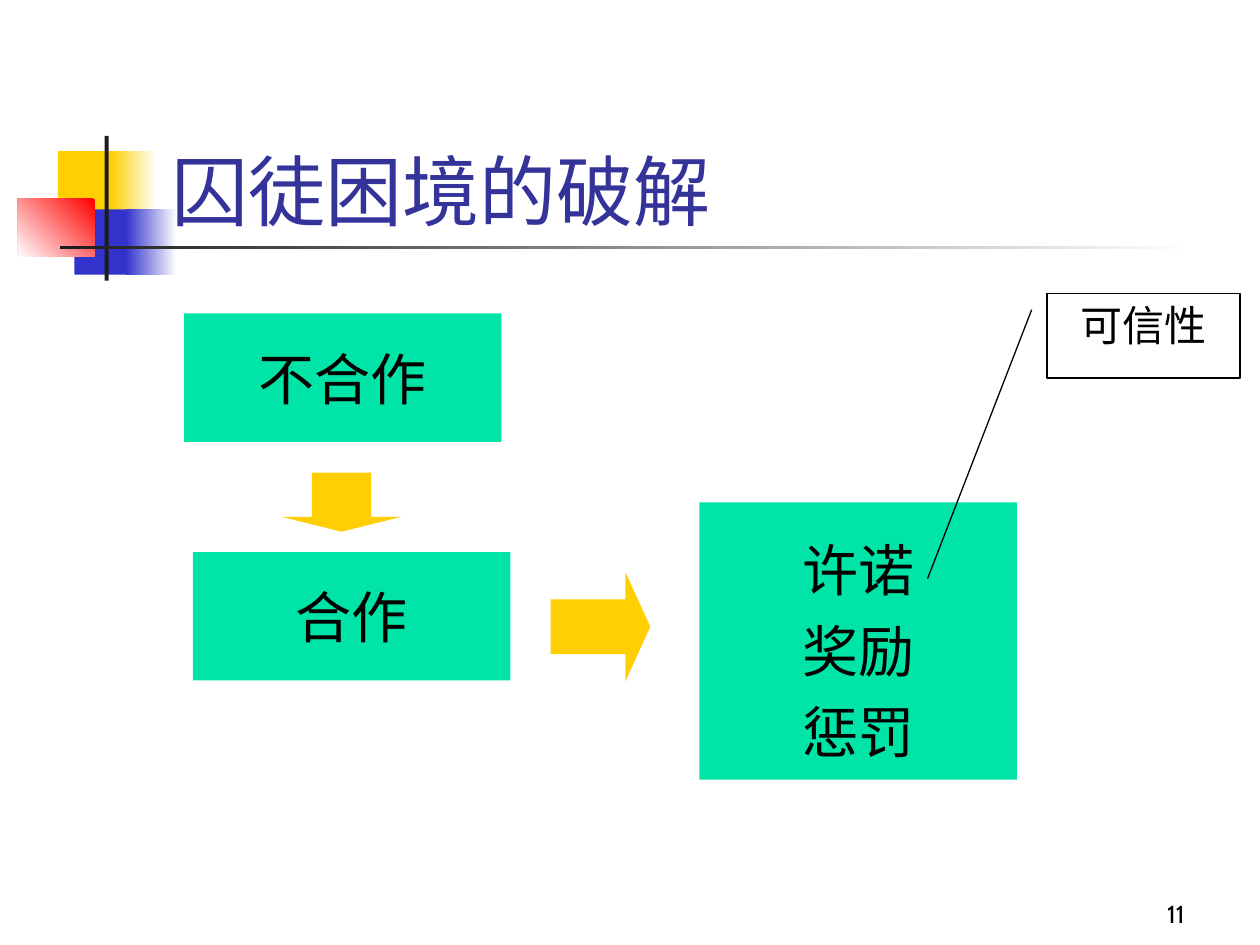
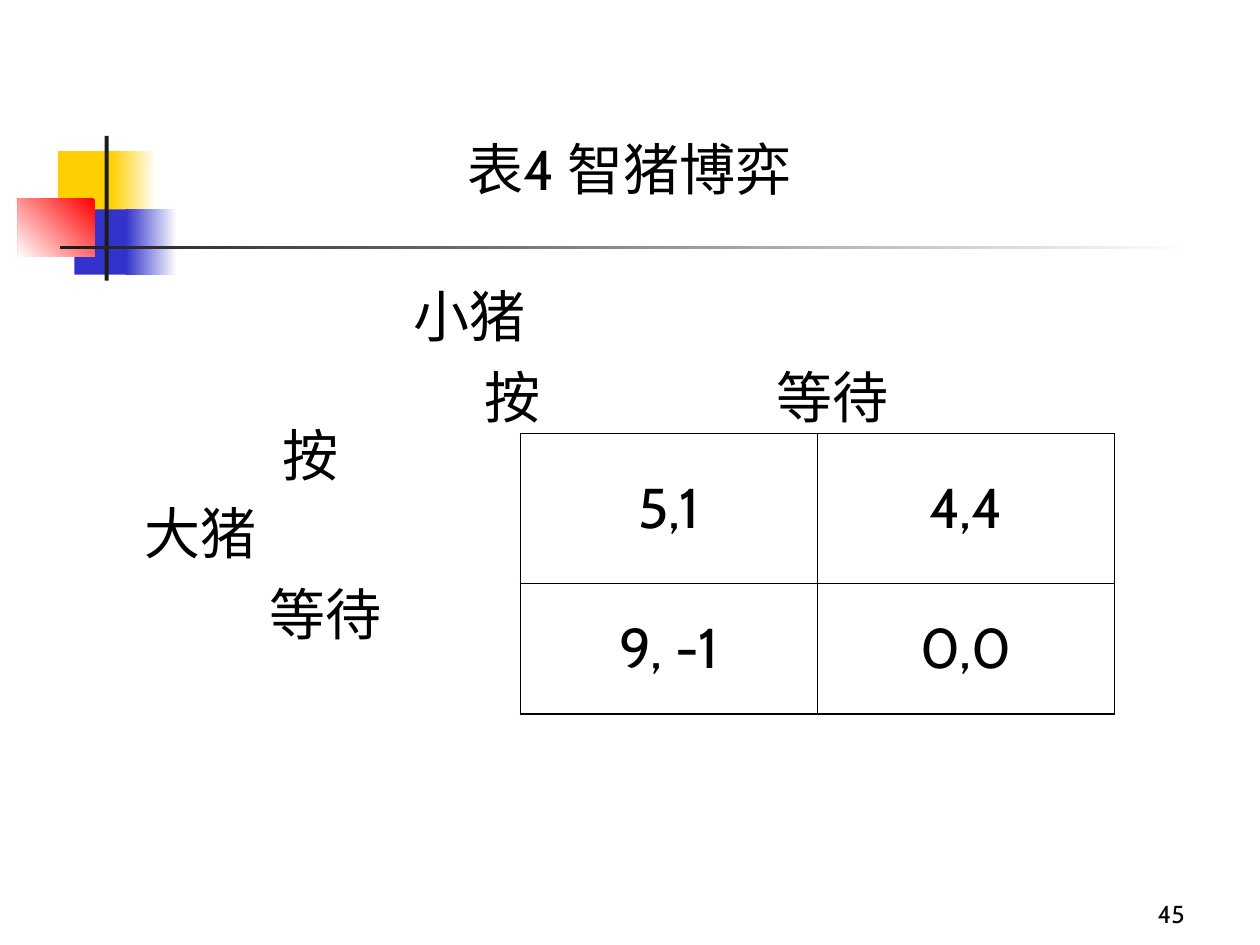
from lxml.etree import SubElement as Sub
from pptx import Presentation
from pptx.dml.color import RGBColor as Rgb
from pptx.enum.shapes import MSO_SHAPE as Kind
from pptx.enum.text import MSO_ANCHOR as Anchor, PP_ALIGN as Align
from pptx.oxml.ns import qn
from pptx.util import Cm, Pt

FONT = "Cabin"
HUES = {
    "black": "000000", "dark": "1C1C1C", "white": "FFFFFF", "title": "333399",
    "gold": "FFCF01", "blue": "3333CC", "red": "FF0000", "green": "00E4A8",
}


def hue(name):
    return Rgb.from_string(HUES[name])


def write(frame, text, size=32, color="black", align=Align.CENTER,
          anchor=Anchor.MIDDLE, wrap=True, gap=0):
    """Fill a text frame, one paragraph for each line of text."""
    frame.word_wrap = wrap
    frame.vertical_anchor = anchor
    for i, line in enumerate(text.split("\n")):
        par = frame.add_paragraph() if i else frame.paragraphs[0]
        par.alignment = align
        if i:
            par.space_before = Pt(gap)
        run = par.add_run()
        run.text = line
        run.font.name = FONT
        run.font.size = Pt(size)
        run.font.color.rgb = hue(color)


class Deck:
    def __init__(self):
        self.file = Presentation()
        self.file.slide_width, self.file.slide_height = Cm(25.4), Cm(19.05)
        self.slide = None

    def start(self, number):
        """Add a slide with the shared ornament and its number."""
        self.slide = self.file.slides.add_slide(self.file.slide_layouts[6])
        self.shape((1.17, 3.05, 1.22, 1.32), "gold")
        self.fade((2.24, 3.05, 0.91, 1.32), "white", "gold")
        self.shape((1.5, 4.22, 1.17, 1.32), "blue")
        self.fade((2.54, 4.22, 1.02, 1.32), "white", "blue")
        self.fade((0.36, 4.01, 1.55, 1.17), "red", "white", turn=225)
        self.shape((2.11, 2.74, 0.08, 2.92), "dark")
        self.fade((1.22, 4.95, 22.86, 0.08), "white", "dark")
        self.text((18.85, 17.58, 5.28, 1.27), str(number), size=14,
                  align=Align.RIGHT, anchor=Anchor.BOTTOM)

    def shape(self, area, fill=None, kind=Kind.RECTANGLE, adjust=()):
        item = self.slide.shapes.add_shape(kind, *map(Cm, area))
        item.shadow.inherit = False
        item.line.fill.background()
        if fill:
            item.fill.solid()
            item.fill.fore_color.rgb = hue(fill)
        else:
            item.fill.background()
        for i, value in enumerate(adjust):
            item.adjustments[i] = value
        return item

    def fade(self, area, first, last, turn=180):
        fill = self.shape(area).fill
        fill.gradient()
        fill.gradient_angle = turn
        for stop, name, spot in zip(fill.gradient_stops, (first, last), (0, 1)):
            stop.color.rgb = hue(name)
            stop.position = spot

    def text(self, area, text, **style):
        write(self.slide.shapes.add_textbox(*map(Cm, area)).text_frame,
              text, **style)

    def box(self, area, text, drop=0):
        frame = self.shape(area, "green").text_frame
        frame.margin_top = Cm(0.13 + drop)
        write(frame, text, wrap=False, gap=8)

    def arrow(self, area, kind):
        self.shape(area, "gold", kind, (0.5, 0.25))

    def note(self, area, text, adjust):
        item = self.shape(area, None, Kind.LINE_CALLOUT_1, adjust)
        item.line.color.rgb = hue("black")
        item.line.width = Pt(0.75)
        write(item.text_frame, text, size=24, anchor=Anchor.TOP)

    def label(self, left, mid, text):
        """Place a word by its left edge and its middle height."""
        self.text((left - 0.25, mid - 0.8, 3.2, 1.6), text, align=Align.LEFT)

    def table(self, left, top, wides, highs, rows):
        area = (left, top, sum(wides), sum(highs))
        grid = self.slide.shapes.add_table(
            len(highs), len(wides), *map(Cm, area)).table
        grid.first_row = grid.horz_banding = False
        for col, wide in zip(grid.columns, wides):
            col.width = Cm(wide)
        for r, (row, high) in enumerate(zip(rows, highs)):
            grid.rows[r].height = Cm(high)
            for c, text in enumerate(row):
                cell = grid.cell(r, c)
                self.edge(cell, L=c == 0, R=c == len(wides) - 1,
                          T=r == 0, B=r == len(highs) - 1)
                cell.fill.background()
                cell.vertical_anchor = Anchor.MIDDLE
                write(cell.text_frame, text)

    def edge(self, cell, **outer):
        """Draw heavy outer and thin inner borders."""
        props = cell._tc.get_or_add_tcPr()
        for side, heavy in outer.items():
            line = Sub(props, qn(f"a:ln{side}"), w=str(Pt(1.08 if heavy else 0.45)))
            fill = Sub(line, qn("a:solidFill"))
            Sub(fill, qn("a:srgbClr"), val=HUES["black"])


def main():
    deck = Deck()

    # Way out of the dilemma
    deck.start(11)
    deck.text((3.2, 1.7, 21.64, 3.18), "囚徒困境的破解", size=44, color="title",
              align=Align.LEFT, anchor=Anchor.BOTTOM)
    deck.box((3.71, 6.32, 6.4, 2.59), "不合作")
    deck.box((3.89, 11.13, 6.4, 2.59), "合作")
    deck.arrow((5.69, 9.53, 2.39, 1.19), Kind.DOWN_ARROW)
    deck.box((14.1, 10.13, 6.4, 5.59), "许诺\n奖励\n惩罚", drop=0.36)
    deck.arrow((11.1, 11.53, 2.01, 2.21), Kind.RIGHT_ARROW)
    deck.note((21.11, 5.92, 3.89, 1.7), "可信性", (0.19, -0.08, 3.38, -0.62))

    # Payoffs of the two pigs
    deck.start(45)
    deck.text((1.9, 2.59, 21.59, 1.6), "表4 智猪博弈")
    for left, mid, text in (
        (8.33, 6.35, "小猪"), (9.76, 7.98, "按"), (15.66, 7.98, "等待"),
        (5.7, 9.15, "按"), (2.92, 10.73, "大猪"), (5.44, 12.36, "等待"),
    ):
        deck.label(left, mid, text)
    deck.table(10.49, 8.74, (5.99, 5.99), (3.02, 2.64),
               (("5,1", "4,4"), ("9, -1", "0,0")))

    deck.file.save("out.pptx")


if __name__ == "__main__":
    main()
